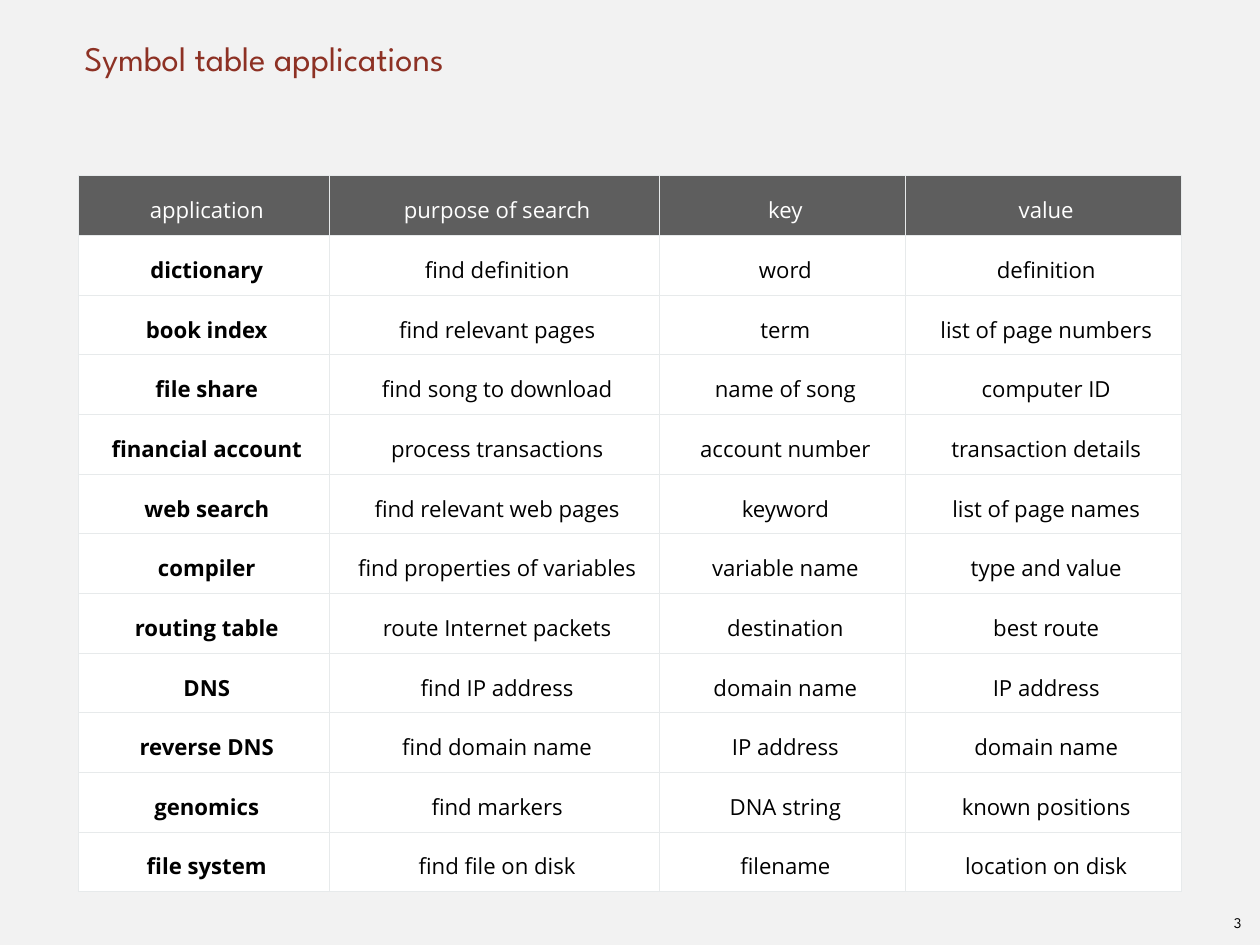
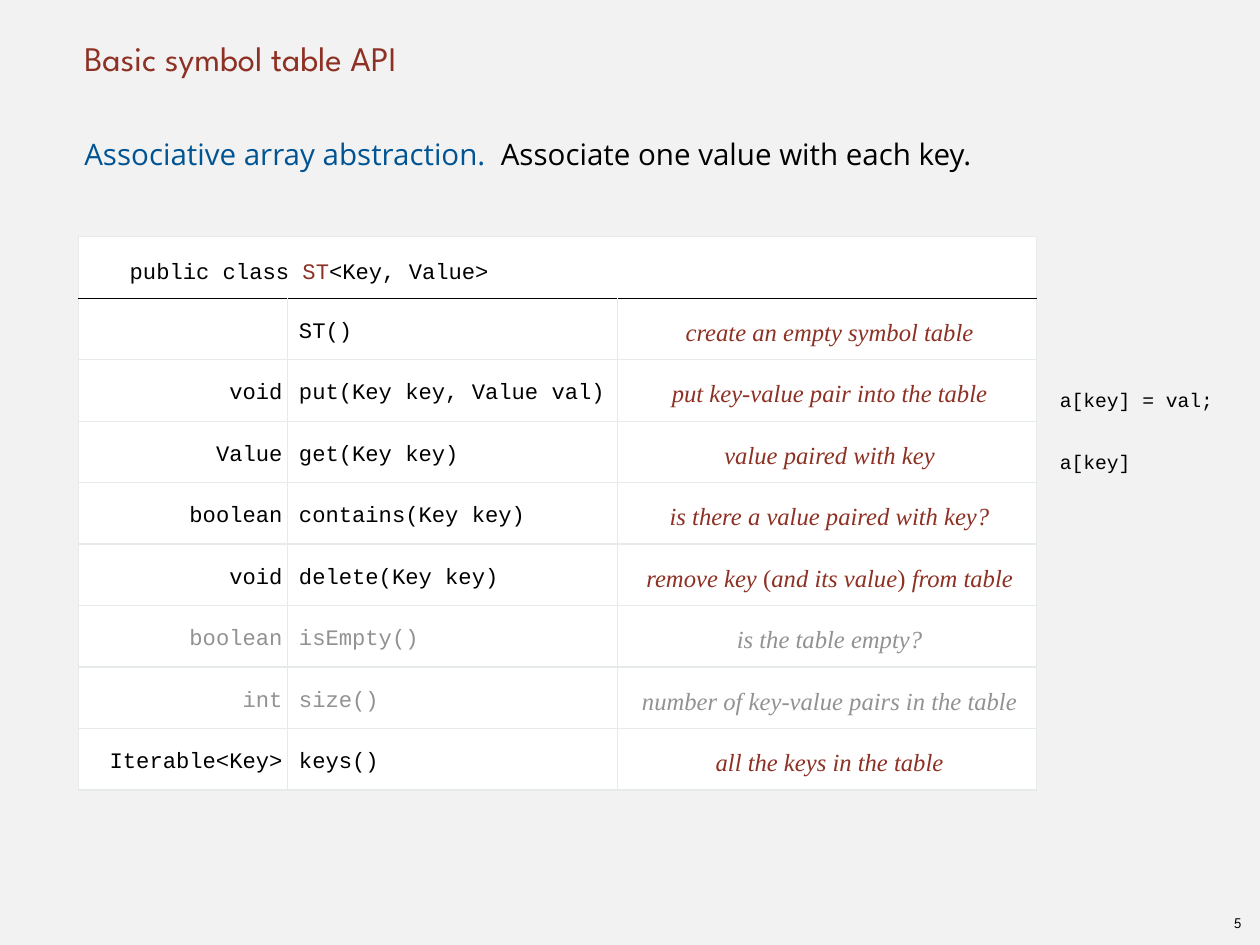
from dataclasses import dataclass, replace

from lxml.etree import SubElement
from pptx import Presentation
from pptx.dml.color import RGBColor
from pptx.enum.text import MSO_ANCHOR as Anchor, MSO_AUTO_SIZE as AutoSize, PP_ALIGN as Align
from pptx.oxml.ns import qn
from pptx.util import Pt


@dataclass(frozen=True)
class Style:
    font: str
    size: float
    color: str
    bold: bool = False
    italic: bool = False


# Colours, type styles and measures shared by both slides
class Theme:
    background = "F2F2F2"
    red = "8D3124"
    blue = "005493"
    black = "000000"
    white = "FFFFFF"
    muted = "929292"
    header_fill = "5E5E5E"
    grid = "E7EAEB"

    title = Style("League Spartan", 28, red)
    page_number = Style("League Spartan", 12, black)
    body = Style("Open Sans", 24, black)
    term = replace(body, color=blue)
    cell = Style("Open Sans", 18, black)
    cell_bold = replace(cell, bold=True)
    cell_header = replace(cell, color=white)
    code = Style("Courier New", 18, black)
    code_note = replace(code, size=16)
    description = Style("Times New Roman", 20, red, italic=True)

    left, width = 64, 896
    indent = 4.5
    inset = 4.5


APPLICATION_HEADER = ("application", "purpose of search", "key", "value")
APPLICATIONS = [
    ("dictionary", "find definition", "word", "definition"),
    ("book index", "find relevant pages", "term", "list of page numbers"),
    ("file share", "find song to download", "name of song", "computer ID"),
    ("financial account", "process transactions", "account number", "transaction details"),
    ("web search", "find relevant web pages", "keyword", "list of page names"),
    ("compiler", "find properties of variables", "variable name", "type and value"),
    ("routing table", "route Internet packets", "destination", "best route"),
    ("DNS", "find IP address", "domain name", "IP address"),
    ("reverse DNS", "find domain name", "IP address", "domain name"),
    ("genomics", "find markers", "DNA string", "known positions"),
    ("file system", "find file on disk", "filename", "location on disk"),
]

# Return type, signature, description pieces (every second piece is upright)
METHODS = [
    ("", "ST()", ["create an empty symbol table"]),
    ("void", "put(Key key, Value val)", ["put key-value pair into the table"]),
    ("Value", "get(Key key)", ["value paired with key"]),
    ("boolean", "contains(Key key)", ["is there a value paired with key?"]),
    ("void", "delete(Key key)", ["remove key ", "(", "and its value", ")", " from table"]),
    ("boolean", "isEmpty()", ["is the table empty?"]),
    ("int", "size()", ["number of key-value pairs in the table"]),
    ("Iterable<Key>", "keys()", ["all the keys in the table"]),
]
MINOR_METHODS = ("isEmpty()", "size()")


# Text
def write(frame, runs, align=Align.LEFT, spacing=1.0, indent=Theme.indent):
    paragraph = frame.paragraphs[0]
    properties = paragraph._p.get_or_add_pPr()
    properties.set("marL", str(Pt(indent)))
    properties.set("indent", "0")
    paragraph.alignment = align
    paragraph.line_spacing = spacing
    paragraph.space_before = Pt(0)
    SubElement(properties, qn("a:buNone"))
    for text, style in runs:
        run = paragraph.add_run()
        run.text = text
        font = run.font
        font.name, font.size = style.font, Pt(style.size)
        font.bold, font.italic = style.bold, style.italic
        font.color.rgb = RGBColor.from_string(style.color)


def set_frame(frame, inset=0, anchor=Anchor.TOP, wrap=True, auto_size=AutoSize.NONE):
    frame.margin_left = frame.margin_right = Pt(inset)
    frame.margin_top = frame.margin_bottom = Pt(inset)
    frame.vertical_anchor = anchor
    frame.word_wrap = wrap
    frame.auto_size = auto_size


def fill_placeholder(placeholder, top, height, runs, anchor=Anchor.TOP, spacing=1.0):
    placeholder.left, placeholder.top = Pt(Theme.left), Pt(top)
    placeholder.width, placeholder.height = Pt(Theme.width), Pt(height)
    set_frame(placeholder.text_frame, anchor=anchor)
    write(placeholder.text_frame, runs, spacing=spacing)


def add_code_note(slide, top, width, text):
    box = slide.shapes.add_textbox(Pt(856.8), Pt(top), Pt(width), Pt(26))
    set_frame(box.text_frame, auto_size=AutoSize.SHAPE_TO_FIT_TEXT)
    write(box.text_frame, [(text, Theme.code_note)], spacing=1.5)


# Slide frame: title and page number
def add_slide(prs, layout, title, number):
    slide = prs.slides.add_slide(prs.slide_layouts.get_by_name(layout))
    fill_placeholder(slide.shapes.title, 0, 64, [(title, Theme.title)], Anchor.BOTTOM)
    box = slide.shapes.add_textbox(Pt(993.6), Pt(738), Pt(24.5), Pt(23))
    set_frame(box.text_frame, Theme.inset, Anchor.MIDDLE, False, AutoSize.SHAPE_TO_FIT_TEXT)
    write(box.text_frame, [(number, Theme.page_number)], Align.CENTER, indent=0)
    return slide


# Tables
def set_borders(cell, **colors):
    properties = cell._tc.get_or_add_tcPr()
    for side in "LRTB":
        line = SubElement(properties, qn(f"a:ln{side}"), w=str(Pt(1)))
        fill = SubElement(line, qn("a:solidFill"))
        SubElement(fill, qn("a:srgbClr"), val=colors.get(side, Theme.grid))


def add_grid(slide, top, widths, row_height, row_count):
    frame = slide.shapes.add_table(row_count, len(widths), Pt(Theme.left), Pt(top),
                                   Pt(sum(widths)), Pt(row_height * row_count))
    table = frame.table
    table.first_row = table.horz_banding = False
    for column, width in zip(table.columns, widths):
        column.width = Pt(width)
    for row in table.rows:
        row.height = Pt(row_height)
    return table


def fill_cell(cell, runs, align=Align.LEFT, fill=Theme.white, spacing=1.3, **border_colors):
    set_borders(cell, **border_colors)
    cell.fill.solid()
    cell.fill.fore_color.rgb = RGBColor.from_string(fill)
    cell.margin_left = cell.margin_right = Pt(Theme.inset)
    cell.margin_top = cell.margin_bottom = Pt(Theme.inset)
    cell.vertical_anchor = Anchor.MIDDLE
    write(cell.text_frame, runs, align, spacing)


# Slides
def add_applications_slide(prs):
    slide = add_slide(prs, "Title Only", "Symbol table applications", "3")
    rows = [APPLICATION_HEADER, *APPLICATIONS]
    table = add_grid(slide, 143, (203.5, 268.5, 200, 224), 48.5, len(rows))
    for r, row in enumerate(rows):
        for c, text in enumerate(row):
            if r == 0:
                style, fill = Theme.cell_header, Theme.header_fill
            else:
                style, fill = Theme.cell if c else Theme.cell_bold, Theme.white
            fill_cell(table.cell(r, c), [(text, style)], Align.CENTER, fill)


def method_runs(return_type, signature, pieces):
    code, description = Theme.code, Theme.description
    if signature in MINOR_METHODS:
        code, description = (replace(style, color=Theme.muted) for style in (code, description))
    return_runs = [(return_type, code)] if return_type else []
    description_runs = [(piece, replace(description, italic=i % 2 == 0))
                        for i, piece in enumerate(pieces)]
    return return_runs, [(signature, code)], description_runs


def add_api_slide(prs):
    slide = add_slide(prs, "Title and Content", "Basic symbol table API", "5")
    fill_placeholder(slide.placeholders[1], 100, 640, [
        ("Associative array abstraction. ", Theme.term),
        (" Associate one value with each key.", Theme.body),
    ], spacing=Pt(39))

    table = add_grid(slide, 192.25, (170, 268, 340), 50, len(METHODS) + 1)
    class_runs = [
        ("   public class ", Theme.code),
        ("ST", replace(Theme.code, color=Theme.red)),
        ("<Key, Value>", Theme.code),
    ]
    for c in range(3):
        fill_cell(table.cell(0, c), [] if c else class_runs, spacing=1.5, B=Theme.black)
    table.cell(0, 0).merge(table.cell(0, 2))

    alignments = (Align.RIGHT, Align.LEFT, Align.CENTER)
    for r, method in enumerate(METHODS, 1):
        top_border = Theme.black if r == 1 else Theme.grid
        for c, (runs, align) in enumerate(zip(method_runs(*method), alignments)):
            fill_cell(table.cell(r, c), runs, align, T=top_border)

    # Array notation beside the put and get rows
    for i, (text, width) in enumerate([("a[key] = val;", 148), ("a[key]", 84)]):
        add_code_note(slide, 306 + 50 * i, width, text)


def main():
    prs = Presentation()
    prs.slide_width, prs.slide_height = Pt(1024), Pt(768)
    background = prs.slide_master.background.fill
    background.solid()
    background.fore_color.rgb = RGBColor.from_string(Theme.background)
    add_applications_slide(prs)
    add_api_slide(prs)
    prs.save("out.pptx")


if __name__ == "__main__":
    main()
